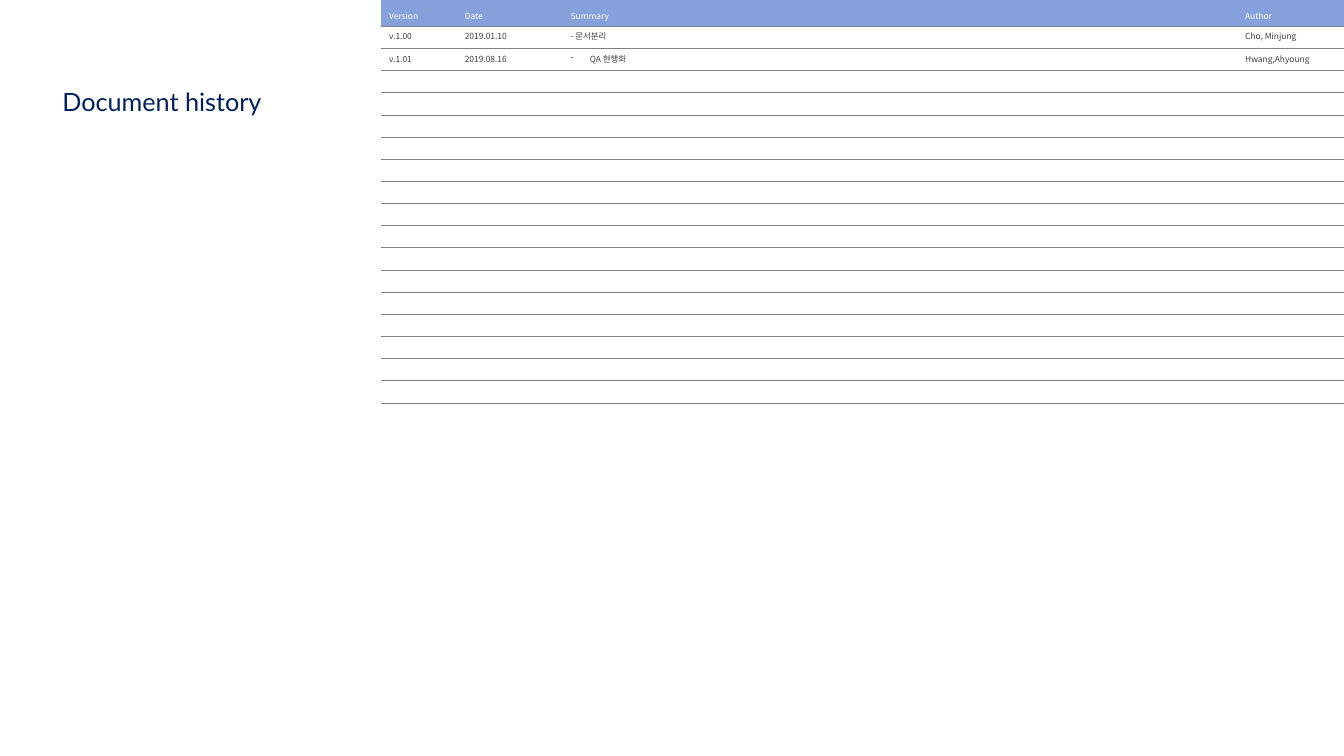
from dataclasses import dataclass
from lxml.etree import SubElement
from pptx import Presentation
from pptx.dml.color import RGBColor as RGB
from pptx.enum.text import MSO_ANCHOR as Anchor
from pptx.oxml.ns import qn
from pptx.util import Inches, Pt


@dataclass(frozen=True)
class Theme:
    title_font: str = "Lato"
    table_font: str = "Noto Sans CJK KR"
    title_size: float = 18
    table_size: float = 6
    navy: str = "002060"
    header: str = "86A0DB"
    white: str = "FFFFFF"
    text: str = "404040"
    rule: str = "808080"
    rule_width: float = 0.25


class SlideBuilder:
    def __init__(self, slide, theme):
        self.slide = slide
        self.theme = theme

    def style(self, p, font, size, color):
        for r in p.runs:
            r.font.name = font
            r.font.size = Pt(size)
            r.font.color.rgb = RGB.from_string(color)
            SubElement(r.font._element, qn("a:ea"), typeface=font)

    def title(self, text, left, top, width, height):
        t = self.theme
        sp = self.slide.shapes.add_textbox(
            Inches(left), Inches(top), Inches(width), Inches(height))
        tf = sp.text_frame
        tf.word_wrap = True
        tf.vertical_anchor = Anchor.MIDDLE
        tf.text = text
        p = tf.paragraphs[0]
        p.line_spacing = 0.9
        self.style(p, t.title_font, t.title_size, t.navy)

    def borders(self, cell, sides):
        tc_pr = cell._tc.get_or_add_tcPr()
        for side in ("L", "R", "T", "B"):
            ln = SubElement(tc_pr, qn(f"a:ln{side}"), w=str(Pt(self.theme.rule_width)))
            if side in sides:
                fill = SubElement(ln, qn("a:solidFill"))
                SubElement(fill, qn("a:srgbClr"), val=self.theme.rule)
            else:
                SubElement(ln, qn("a:noFill"))

    def bullet(self, p, char, indent):
        p_pr = p._p.get_or_add_pPr()
        p_pr.set("marL", str(Inches(indent)))
        p_pr.set("indent", str(Inches(-indent)))
        SubElement(p_pr, qn("a:buChar"), char=char)

    def cell(self, cell, text, is_header):
        t = self.theme
        cell.margin_left = cell.margin_right = Inches(0.08)
        cell.margin_top = cell.margin_bottom = Inches(0.04)
        self.borders(cell, "B" if is_header else "TB")
        cell.fill.solid()
        cell.fill.fore_color.rgb = RGB.from_string(t.header if is_header else t.white)
        p = cell.text_frame.paragraphs[0]
        if not text:
            SubElement(p._p, qn("a:endParaRPr"), sz=str(int(t.table_size * 100)))
            return
        p.text = text
        if is_header:
            p.line_spacing = 1.5
        self.style(p, t.table_font, t.table_size, t.white if is_header else t.text)

    def table(self, rows, row_count, left, top, col_widths, header_height, row_height):
        height = header_height + row_height * (row_count - 1)
        table = self.slide.shapes.add_table(
            row_count, len(col_widths), Inches(left), Inches(top),
            Inches(sum(col_widths)), Inches(height)).table
        table.first_row = True
        table.horz_banding = False
        for col, width in zip(table.columns, col_widths):
            col.width = Inches(width)
        for i, row in enumerate(table.rows):
            row.height = Inches(row_height if i else header_height)
            texts = rows[i] if i < len(rows) else [""] * len(col_widths)
            for cell, text in zip(row.cells, texts):
                self.cell(cell, text, i == 0)
        return table


def main():
    prs = Presentation()
    prs.slide_width = Inches(13.33)
    prs.slide_height = Inches(7.5)
    s = SlideBuilder(prs.slides.add_slide(prs.slide_layouts[6]), Theme())
    history = [
        ("Version", "Date", "Summary", "Author"),
        ("v.1.00", "2019.01.10", "- 문서분리", "Cho, Minjung"),
        ("v.1.01", "2019.08.16", "QA 현행화", "Hwang,Ahyoung"),
    ]
    table = s.table(history, 18, 3.78, 0, (0.75, 1.05, 6.69, 1.06), 0.23, 0.22)
    s.bullet(table.cell(2, 2).text_frame.paragraphs[0], "-", 0.19)
    s.title("Document history", 0.52, 0.85, 11.5, 0.36)
    prs.save("out.pptx")


if __name__ == "__main__":
    main()
